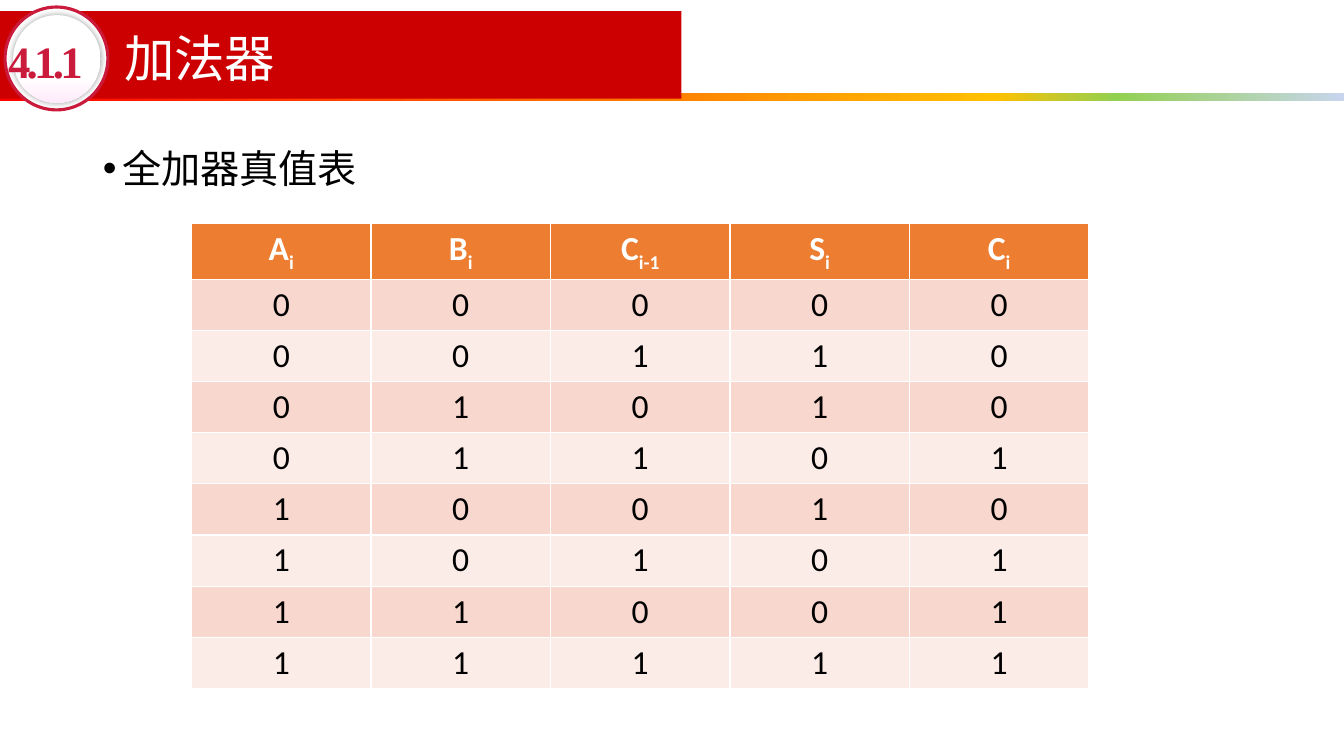
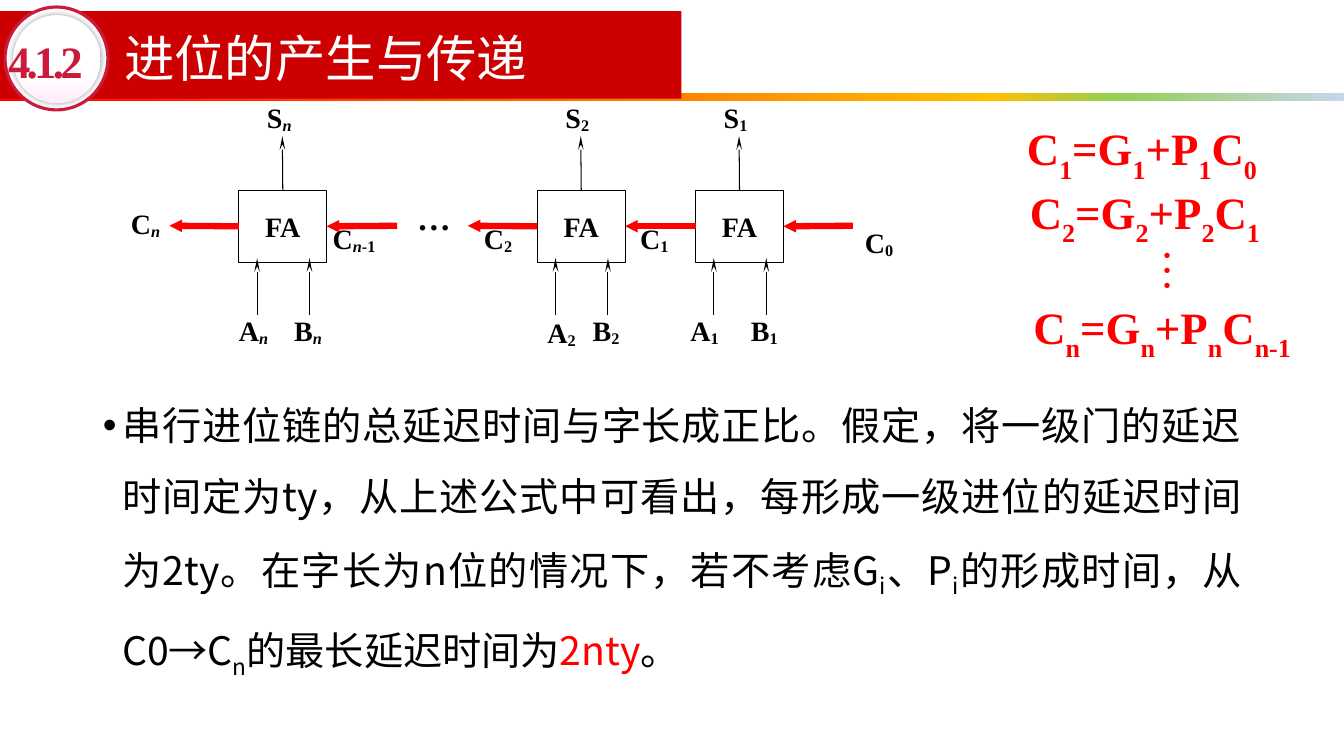
from lxml import etree
from pptx import Presentation
from pptx.dml.color import RGBColor
from pptx.enum.shapes import MSO_CONNECTOR, MSO_SHAPE
from pptx.enum.text import MSO_ANCHOR, MSO_AUTO_SIZE, PP_ALIGN
from pptx.oxml.ns import qn
from pptx.util import Inches, Pt

RECTANGLE, OVAL = MSO_SHAPE.RECTANGLE, MSO_SHAPE.OVAL
STRAIGHT = MSO_CONNECTOR.STRAIGHT
MIDDLE, TOP_ANCHOR = MSO_ANCHOR.MIDDLE, MSO_ANCHOR.TOP
LEFT, CENTER, JUSTIFY = PP_ALIGN.LEFT, PP_ALIGN.CENTER, PP_ALIGN.JUSTIFY
NO_AUTOFIT = MSO_AUTO_SIZE.NONE
TOP, LEFT_SIDE, BOTTOM, RIGHT_SIDE = range(4)

WHITE = RGBColor(0xFF, 0xFF, 0xFF)
BLACK = RGBColor(0, 0, 0)
RED = RGBColor(0xFF, 0, 0)
BANNER_RED = RGBColor(0xCC, 0, 0)
CRIMSON = RGBColor(0xCB, 0x1B, 0x3D)
HEADER_ORANGE = RGBColor(0xED, 0x7D, 0x31)
ROW_FILLS = [RGBColor(0xF8, 0xD7, 0xCE), RGBColor(0xFC, 0xEC, 0xE8)]
RAINBOW = [(0, "FF0000"), (74, "FFC000"), (83, "92D050"), (100, "C7D5ED")]
PEARL = [(0, "FFFFFF"), (70, "FFFFFF"), (100, "FFEBFA")]

SANS, SERIF = "Noto Sans CJK SC", "Times New Roman"
TITLE_FONT = {"name": SANS, "size": Pt(36), "bold": False}
BADGE_FONT = {"name": SERIF, "size": Pt(32), "bold": True}
BODY_FONT = {"name": SANS, "size": Pt(28), "bold": False}
HEADER_FONT = {"name": "Calibri", "size": Pt(24), "bold": True}
CELL_FONT = {"name": "Calibri", "size": Pt(24), "bold": False}
LABEL_FONT = {"name": SERIF, "size": Pt(20), "bold": True}
DOTS_FONT = {"name": SERIF, "size": Pt(24), "bold": True}
FORMULA_FONT = {"name": SERIF, "size": Pt(32), "bold": True}


def write(paragraph, text, font, color, baseline=-25):
    for index, piece in enumerate(text.split("|")):
        run = paragraph.add_run()
        run.text = piece
        for attribute, value in font.items():
            setattr(run.font, attribute, value)
        run.font.color.rgb = color
        properties = run._r.get_or_add_rPr()
        etree.SubElement(properties, qn("a:ea"), typeface=font["name"])
        if index % 2:
            properties.set("baseline", str(baseline * 1000))


def add_label(slide, box, text, font, color, baseline, alignment=LEFT):
    shape = slide.shapes.add_textbox(*map(Inches, box))
    shape.text_frame.word_wrap = True
    paragraph = shape.text_frame.paragraphs[0]
    paragraph.alignment = alignment
    write(paragraph, text, font, color, baseline)
    return shape


presentation = Presentation()
presentation.slide_width = Inches(13.33)
presentation.slide_height = Inches(7.5)
layout = presentation.slide_layouts[3]
placeholder_boxes = {
    0: (1.13, 0.2, 7.44, 0.82),
    1: (0.08, 0.33, 0.93, 0.54),
    2: (0.92, 1.15, 11.5, 5.44),
}
for placeholder in list(layout.placeholders):
    box = placeholder_boxes.get(placeholder.placeholder_format.idx)
    if box:
        for side, value in zip(("left", "top", "width", "height"), box):
            setattr(placeholder, side, Inches(value))
    else:
        layout.shapes.element.remove(placeholder.element)

slides, bodies = [], []
for number, heading in [("4.1.1", "加法器"), ("4.1.2", "进位的产生与传递")]:
    slide = presentation.slides.add_slide(layout)
    title, badge, body = slide.placeholders
    for placeholder, anchor, alignment, spacing in [
        (title, MIDDLE, LEFT, 0.9),
        (badge, MIDDLE, LEFT, 1.0),
        (body, TOP_ANCHOR, JUSTIFY, 1.5),
    ]:
        frame = placeholder.text_frame
        frame.auto_size = NO_AUTOFIT
        frame.vertical_anchor = anchor
        paragraph = frame.paragraphs[0]
        paragraph.alignment = alignment
        paragraph.line_spacing = spacing
        paragraph.space_before = Pt(0)
    write(title.text_frame.paragraphs[0], heading, TITLE_FONT, WHITE)

    frame = badge.text_frame
    for margin in ("margin_left", "margin_top", "margin_right", "margin_bottom"):
        setattr(frame, margin, 0)
    write(frame.paragraphs[0], number, BADGE_FONT, CRIMSON)
    frame.paragraphs[0].runs[0]._r.get_or_add_rPr().set("spc", "-270")
    properties = frame.paragraphs[0]._p.get_or_add_pPr()
    properties.set("marL", "0")
    properties.set("indent", "0")
    etree.SubElement(properties, qn("a:buNone"))

    properties = body.text_frame.paragraphs[0]._p.get_or_add_pPr()
    properties.set("marL", str(Inches(0.19)))
    properties.set("indent", str(-Inches(0.19)))
    slides.append(slide)
    bodies.append(body)
table_slide, carry_slide = slides
table_body, carry_body = bodies

decorations = []
for kind, box, color, stops, angle, outline in [
    (RECTANGLE, (0, 0.92, 13.33, 0.08), None, RAINBOW, 0, None),
    (RECTANGLE, (0, 0.11, 6.76, 0.87), BANNER_RED, None, 0, None),
    (OVAL, (0.05, 0.07, 1.02, 1.02), WHITE, None, 0, CRIMSON),
    (OVAL, (0.13, 0.15, 0.87, 0.87), None, PEARL, 270, None),
]:
    shape = table_slide.shapes.add_shape(kind, *map(Inches, box))
    shape.shadow.inherit = False
    if stops:
        shape.fill.gradient()
        shape.fill.gradient_angle = angle
        stop_list = shape.element.spPr.find(".//" + qn("a:gsLst"))
        for stop in list(stop_list):
            stop_list.remove(stop)
        for position, value in stops:
            stop = etree.SubElement(stop_list, qn("a:gs"), pos=str(position * 1000))
            etree.SubElement(stop, qn("a:srgbClr"), val=value)
    else:
        shape.fill.solid()
        shape.fill.fore_color.rgb = color
    if outline:
        shape.line.color.rgb = outline
        shape.line.width = Pt(2.25)
    else:
        shape.line.fill.background()
    decorations.append(shape)

effects = decorations[-1].element.spPr.find(qn("a:effectLst"))
shadow = etree.SubElement(effects, qn("a:outerShdw"), blurRad=str(Pt(5)), dist="0", dir="0")
shadow_color = etree.SubElement(shadow, qn("a:srgbClr"), val="000000")
etree.SubElement(shadow_color, qn("a:alpha"), val="40000")
for index, shape in enumerate(decorations):
    layout.shapes.element.insert(2 + index, shape.element)

write(table_body.text_frame.paragraphs[0], "全加器真值表", BODY_FONT, BLACK)
truth_rows = [
    ["A|i", "B|i", "C|i-1", "S|i", "C|i"],
    "00000", "00110", "01010", "01101", "10010", "10101", "11001", "11111",
]
table = table_slide.shapes.add_table(
    len(truth_rows), 5, Inches(1.9), Inches(2.22), Inches(8.9), Inches(4.5)
).table
for row_index, values in enumerate(truth_rows):
    is_header = row_index == 0
    for column_index, value in enumerate(values):
        cell = table.cell(row_index, column_index)
        cell.vertical_anchor = MIDDLE
        cell.fill.solid()
        cell.fill.fore_color.rgb = HEADER_ORANGE if is_header else ROW_FILLS[(row_index - 1) % 2]
        paragraph = cell.text_frame.paragraphs[0]
        paragraph.alignment = CENTER
        write(paragraph, value, HEADER_FONT if is_header else CELL_FONT, WHITE if is_header else BLACK)

for side, value in zip(("left", "top", "width", "height"), (0.92, 3.7, 11.5, 3.58)):
    setattr(carry_body, side, Inches(value))
paragraph = carry_body.text_frame.paragraphs[0]
for text, color in [
    ("串行进位链的总延迟时间与字长成正比。假定，将一级门的延迟时间定为ty，从上述公式中可看出，"
     "每形成一级进位的延迟时间为2ty。在字长为n位的情况下，若不考虑G|i|、P|i|的形成时间，"
     "从C0→C|n|的最长延迟时间为", BLACK),
    ("2nty", RED),
    ("。", BLACK),
]:
    write(paragraph, text, BODY_FONT, color)

for top, width, formula in [
    (1.15, 2.61, "C|1|=G|1|+P|1|C|0"),
    (1.78, 2.67, "C|2|=G|2|+P|2|C|1"),
    (2.92, 3.01, "C|n|=G|n|+P|n|C|n-1"),
]:
    add_label(carry_slide, (10.02, top, width, 0.63), formula, FORMULA_FONT, RED, -30, CENTER)
dots = add_label(
    carry_slide, (11.33, 2.32, 0.7, 0.74), "…", {**FORMULA_FONT, "bold": False}, RED, 0, CENTER
)
dots.rotation = 90

arrows, adders = [], []
labels = [
    ("C|1", 6.25, 2.15), ("C|2", 4.7, 2.15), ("C|n|-1", 3.2, 2.15),
    ("C|n", 1.2, 2), ("C|0", 8.48, 2.19),
]
for subscript, left, a_left, a_top in [
    ("1", 6.9, 6.75, 3.06), ("2", 5.33, 5.33, 3.08), ("n", 2.37, 2.27, 3.06),
]:
    adder = carry_slide.shapes.add_shape(
        RECTANGLE, Inches(left), Inches(1.89), Inches(0.87), Inches(0.71)
    )
    adder.shadow.inherit = False
    adder.fill.background()
    adder.line.color.rgb = BLACK
    adder.line.width = Pt(0.75)
    adder.text_frame.word_wrap = False
    adder.text_frame.vertical_anchor = MIDDLE
    adder.text_frame.paragraphs[0].alignment = CENTER
    write(adder.text_frame.paragraphs[0], "FA", LABEL_FONT, BLACK)
    adders.append(adder)
    middle = left + 0.43
    arrows.append(((middle, 1.89, middle, 1.35), (adder, TOP), None, False))
    for offset in (0.18, 0.7):
        arrows.append(((left + offset, 3.13, left + offset, 2.56), None, None, False))
    labels += [
        ("A|" + subscript, a_left, a_top),
        ("B|" + subscript, left + 0.45, 3.06),
        ("S|" + subscript, left + 0.18, 0.95),
    ]

for text, left, top in labels:
    label = add_label(carry_slide, (left, top, 0.9, 0.43), text, LABEL_FONT, BLACK, -10)
    for run in label.text_frame.paragraphs[0].runs:
        run.font.italic = run.text == "n"
        if run.text == "-1":
            run._r.get_or_add_rPr().set("baseline", "-10000")
add_label(carry_slide, (4.04, 1.9, 0.6, 0.5), "…", DOTS_FONT, BLACK, 0)

first, second, last = adders
for begin_x, end_x, source, target in [
    (8.46, 7.77, None, first), (6.9, 6.2, first, second), (5.33, 4.64, second, None),
    (3.94, 3.24, None, last), (2.37, 1.68, last, None),
]:
    arrows.append((
        (begin_x, 2.24, end_x, 2.24),
        source and (source, LEFT_SIDE), target and (target, RIGHT_SIDE), True,
    ))

for points, begin, end, is_carry in arrows:
    arrow = carry_slide.shapes.add_connector(STRAIGHT, *map(Inches, points))
    if begin:
        arrow.begin_connect(*begin)
    if end:
        arrow.end_connect(*end)
    arrow.line.color.rgb = RED if is_carry else BLACK
    arrow.line.width = Pt(4.5 if is_carry else 0.75)
    head = {"type": "triangle", "w": "sm", "len": "sm"} if is_carry else {
        "type": "stealth", "w": "sm", "len": "lg"}
    etree.SubElement(arrow.line._get_or_add_ln(), qn("a:tailEnd"), head)
    etree.SubElement(arrow.element.spPr, qn("a:effectLst"))

presentation.save("out.pptx")
